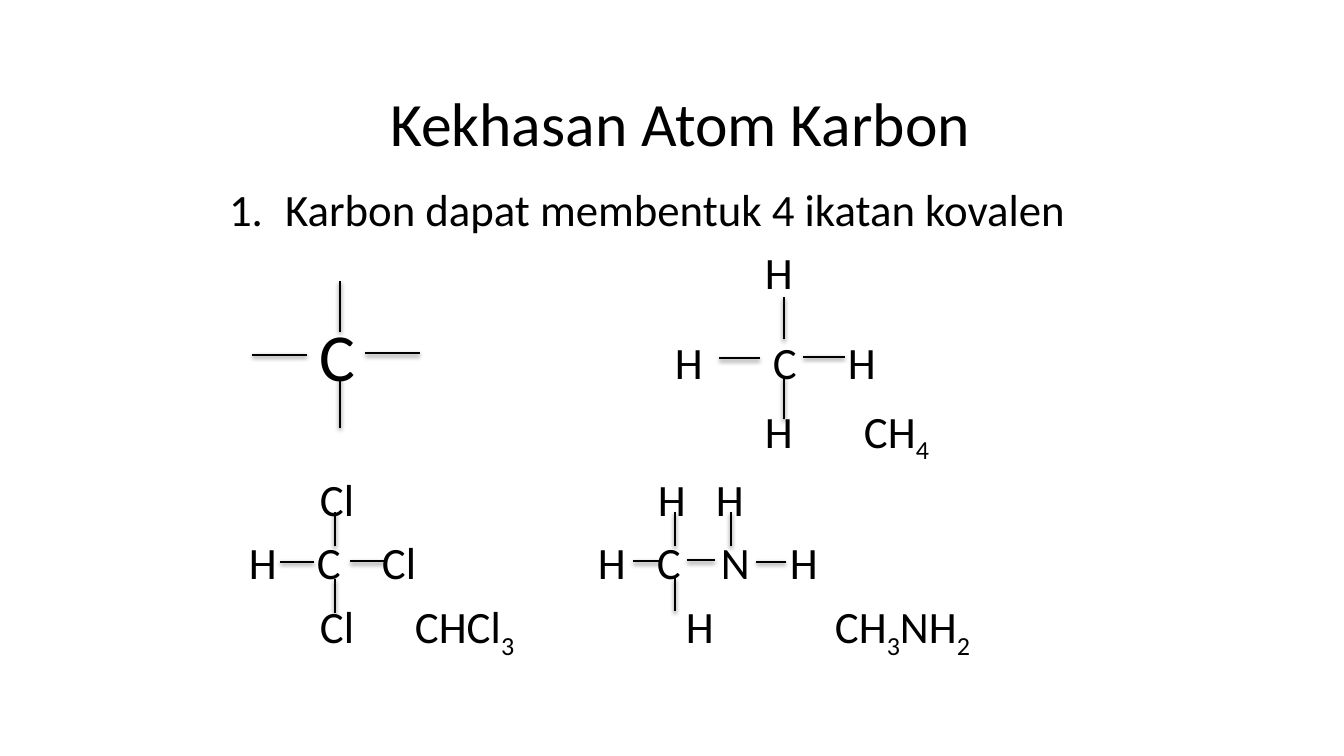
from itertools import groupby
from lxml.etree import SubElement
from pptx import Presentation
from pptx.dml.color import RGBColor
from pptx.enum.shapes import MSO_CONNECTOR
from pptx.enum.text import MSO_ANCHOR, MSO_AUTO_SIZE, PP_ALIGN
from pptx.oxml import parse_xml
from pptx.oxml.ns import nsdecls, qn
from pptx.util import Pt

BLACK = RGBColor(0, 0, 0)
PX = 914400 / 100.8

SHADOW = (
    f'<a:effectLst {nsdecls("a")}>'
    '<a:outerShdw blurRad="40000" dist="20000" dir="5400000" rotWithShape="0">'
    '<a:srgbClr val="000000"><a:alpha val="38000"/></a:srgbClr>'
    '</a:outerShdw></a:effectLst>'
)


def emu(px):
    return round(px * PX)


def write(para, text, size, low=False):
    """Add a run of text, set as a subscript when low."""
    run = para.add_run()
    run.text = text
    for key, val in {"name": "Calibri", "size": Pt(size)}.items():
        setattr(run.font, key, val)
    run.font.color.rgb = BLACK
    if low:
        run._r.get_or_add_rPr().set("baseline", "-25000")


deck = Presentation()
deck.slide_width, deck.slide_height = emu(1344), emu(756)
slide = deck.slides.add_slide(deck.slide_layouts[1])
title, body = slide.placeholders

# Place the title and body
for shape, box in ((title, (227, 59, 907, 126)), (body, (219, 177, 907, 537))):
    for key, val in zip(("left", "top", "width", "height"), box):
        setattr(shape, key, emu(val))
    shape.text_frame.auto_size = MSO_AUTO_SIZE.NONE

# Title
title.text_frame.vertical_anchor = MSO_ANCHOR.MIDDLE
head = title.text_frame.paragraphs[0]
head.alignment = PP_ALIGN.CENTER
write(head, "Kekhasan Atom Karbon", 44)

# Numbered point
point = body.text_frame.paragraphs[0]
props = point._p.get_or_add_pPr()
for key, val in {"marL": emu(56), "indent": emu(-56)}.items():
    props.set(key, str(val))
SubElement(props, qn("a:buFont"), typeface="+mj-lt")
SubElement(props, qn("a:buAutoNum"), type="arabicPeriod")
write(point, "Karbon dapat membentuk 4 ikatan kovalen", 32)

# Atoms and formulas: baseline of each row, then left edge and text
ROWS = {
    288: [(765, "H")],
    378: [(320, "C", 48), (675, "H"), (773, "C"), (848, "H")],
    447: [(765, "H"), (864, "CH4")],
    515: [(320, "Cl"), (658, "H"), (716, "H")],
    578: [(249, "H"), (317, "C"), (382, "Cl"),
          (598, "H"), (657, "C"), (721, "N"), (790, "H")],
    642: [(320, "Cl"), (415, "CHCl3"), (686, "H"), (835, "CH3NH2")],
}
for base, row in ROWS.items():
    for left, text, *big in row:
        size = big[0] if big else 32
        top = base - round(size * 1.33)
        box = slide.shapes.add_textbox(
            emu(left), emu(top), emu(40 * len(text)), emu(size * 1.75))
        frame = box.text_frame
        for side in ("left", "top", "right", "bottom"):
            setattr(frame, "margin_" + side, 0)
        frame.word_wrap = True
        for low, part in groupby(text, str.isdigit):
            write(frame.paragraphs[0], "".join(part), size, low)

# Bonds: upright as x, top, bottom; level as y, left, right
UPRIGHT = [
    (340, 281, 332), (340, 378, 428),
    (784, 297, 339), (784, 377, 419),
    (335, 512, 546), (335, 579, 613),
    (675, 512, 546), (675, 578, 611), (731, 512, 546),
]
LEVEL = [
    (353, 365, 420), (355, 252, 307),
    (357, 803, 845), (358, 719, 760),
    (561, 350, 385), (562, 280, 314),
    (560, 687, 715), (561, 633, 660), (562, 756, 786),
]
bonds = [(x, top, x, end) for x, top, end in UPRIGHT]
bonds += [(left, y, end, y) for y, left, end in LEVEL]
for ends in bonds:
    bond = slide.shapes.add_connector(MSO_CONNECTOR.STRAIGHT, *map(emu, ends))
    bond.line.color.rgb = BLACK
    bond.line.width = Pt(2)
    bond._element.spPr.append(parse_xml(SHADOW))

deck.save("out.pptx")
